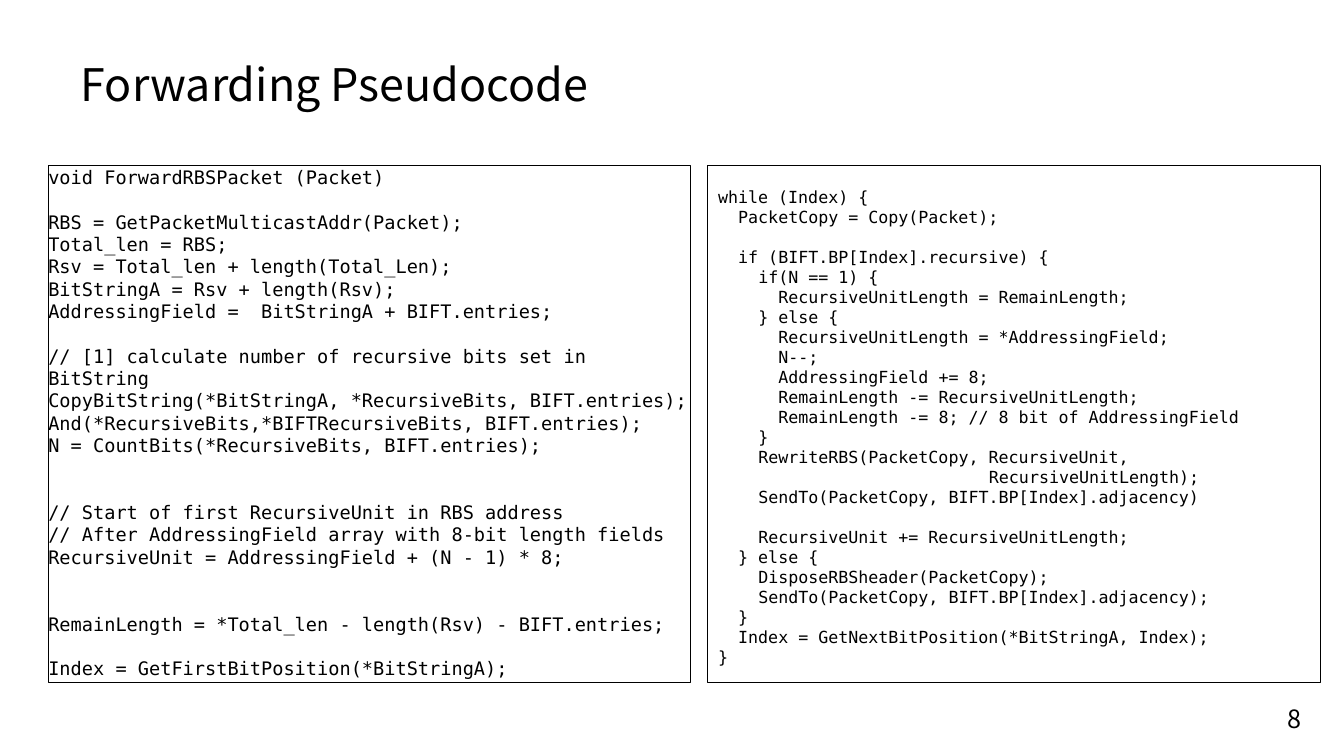
from dataclasses import dataclass

from pptx import Presentation
from pptx.dml.color import RGBColor
from pptx.enum.shapes import MSO_SHAPE as Shape
from pptx.enum.text import MSO_ANCHOR as Anchor, PP_ALIGN as Align
from pptx.util import Pt

PX = 9525


@dataclass(frozen=True)
class Theme:
    ink: RGBColor = RGBColor(0, 0, 0)
    sans: str = "Noto Sans CJK SC"
    mono: str = "DejaVu Sans Mono"
    title: float = 32
    title_line: float = 34.3
    setup: float = 13.3
    loop: float = 11.9
    number: float = 18
    border: float = 0.75
    code_line: float = 1.2


THEME = Theme()

SETUP_CODE = """\
void ForwardRBSPacket (Packet)

RBS = GetPacketMulticastAddr(Packet);
Total_len = RBS;
Rsv = Total_len + length(Total_Len);
BitStringA = Rsv + length(Rsv);
AddressingField =  BitStringA + BIFT.entries;

// [1] calculate number of recursive bits set in BitString
CopyBitString(*BitStringA, *RecursiveBits, BIFT.entries);
And(*RecursiveBits,*BIFTRecursiveBits, BIFT.entries);
N = CountBits(*RecursiveBits, BIFT.entries);


// Start of first RecursiveUnit in RBS address
// After AddressingField array with 8-bit length fields
RecursiveUnit = AddressingField + (N - 1) * 8;


RemainLength = *Total_len - length(Rsv) - BIFT.entries;

Index = GetFirstBitPosition(*BitStringA);"""

LOOP_CODE = """\
while (Index) {
  PacketCopy = Copy(Packet);

  if (BIFT.BP[Index].recursive) {
    if(N == 1) {
      RecursiveUnitLength = RemainLength;
    } else {
      RecursiveUnitLength = *AddressingField;
      N--;
      AddressingField += 8;
      RemainLength -= RecursiveUnitLength;
      RemainLength -= 8; // 8 bit of AddressingField
    }
    RewriteRBS(PacketCopy, RecursiveUnit,
                           RecursiveUnitLength);
    SendTo(PacketCopy, BIFT.BP[Index].adjacency)

    RecursiveUnit += RecursiveUnitLength;
  } else {
    DisposeRBSheader(PacketCopy);
    SendTo(PacketCopy, BIFT.BP[Index].adjacency);
  }
  Index = GetNextBitPosition(*BitStringA, Index);
}"""


def emu(box):
    return [v * PX for v in box]


def set_frame(tf, left=0, top=0, anchor=Anchor.TOP):
    tf.word_wrap = True
    tf.vertical_anchor = anchor
    tf.margin_left, tf.margin_top = left * PX, top * PX
    tf.margin_right = tf.margin_bottom = 0


def set_font(p, name, size):
    p.font.name = name
    p.font.size = Pt(size)
    p.font.color.rgb = THEME.ink


def add_label(s, box, text, size, align=Align.LEFT, anchor=Anchor.TOP):
    tf = s.shapes.add_textbox(*emu(box)).text_frame
    set_frame(tf, anchor=anchor)
    p = tf.paragraphs[0]
    p.text = text
    p.alignment = align
    set_font(p, THEME.sans, size)
    return p


def add_code(s, box, code, size, left=0, top=0):
    sp = s.shapes.add_shape(Shape.RECTANGLE, *emu(box))
    sp.shadow.inherit = False
    sp.fill.background()
    sp.line.color.rgb = THEME.ink
    sp.line.width = Pt(THEME.border)
    tf = sp.text_frame
    set_frame(tf, left, top)
    char_width = size * 0.602
    p, gap = None, 0
    for line in code.splitlines():
        if not line:
            gap += 1
            continue
        p = tf.add_paragraph() if p else tf.paragraphs[0]
        text = line.lstrip()
        p.text = text
        p.alignment = Align.LEFT
        p.space_before = Pt(gap * size * THEME.code_line)
        pPr = p._p.get_or_add_pPr()
        pPr.set("marL", str(Pt((len(line) - len(text)) * char_width)))
        pPr.set("indent", "0")
        set_font(p, THEME.mono, size)
        gap = 0


def build_slide(prs):
    s = prs.slides.add_slide(prs.slide_layouts[6])
    title = add_label(s, (77, 48, 1127, 68), "Forwarding Pseudocode",
                      THEME.title, anchor=Anchor.MIDDLE)
    title.line_spacing = Pt(THEME.title_line)
    add_code(s, (46, 158, 612, 492), SETUP_CODE, THEME.setup)
    add_code(s, (674, 158, 584, 492), LOOP_CODE, THEME.loop, left=10, top=20)
    add_label(s, (1201, 670, 63, 38), "8", THEME.number, Align.CENTER)


def main():
    prs = Presentation()
    prs.slide_width, prs.slide_height = 1280 * PX, 720 * PX
    build_slide(prs)
    prs.save("out.pptx")


if __name__ == "__main__":
    main()
